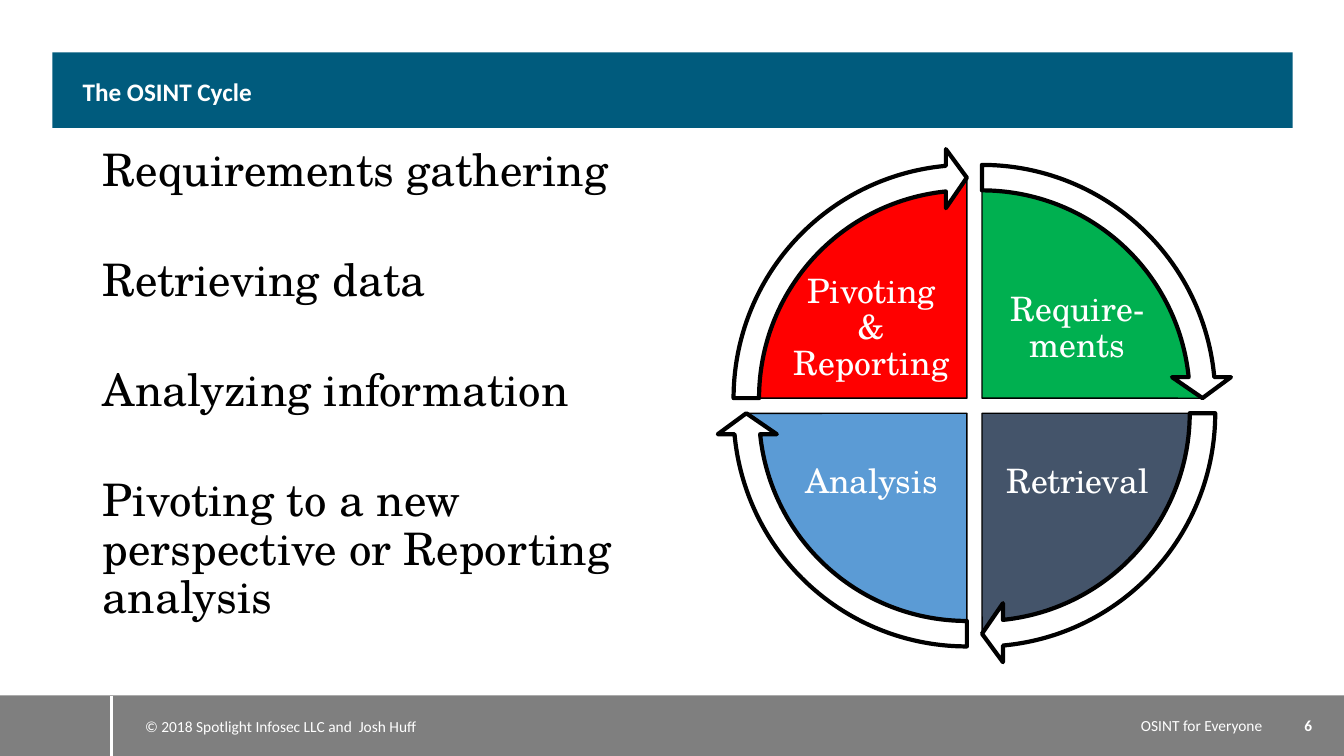
from pptx import Presentation
from pptx.dml.color import RGBColor
from pptx.enum.shapes import MSO_CONNECTOR, MSO_SHAPE
from pptx.enum.text import MSO_ANCHOR, MSO_AUTO_SIZE, PP_ALIGN
from pptx.oxml.ns import qn
from pptx.util import Inches, Pt
from lxml.etree import SubElement

WHITE = RGBColor(0xFF, 0xFF, 0xFF)
BLACK = RGBColor(0x00, 0x00, 0x00)
TEAL = RGBColor(0x00, 0x5B, 0x7D)
GRAY = RGBColor(0x7F, 0x7F, 0x7F)
GREEN = RGBColor(0x00, 0xB0, 0x50)
SLATE = RGBColor(0x44, 0x54, 0x6A)
BLUE = RGBColor(0x5B, 0x9B, 0xD5)
RED = RGBColor(0xFF, 0x00, 0x00)

SANS, SERIF = "Calibri", "TeX Gyre Schola"
SLIDE_W, SLIDE_H = 13.33, 7.5

# Angles count in the preset shapes' units: 216 to the full circle
FULL_TURN, QUARTER = 216, 54
ARROW_SWEEP, ARROW_HEAD = 50.725, 3.275

STEPS = ["Requirements gathering", "Retrieving data", "Analyzing information",
         "Pivoting to a new perspective or Reporting analysis"]

# Label, colour, column side, row side; clockwise from the top right
STAGES = [("Require-ments", GREEN, 1, -1), ("Retrieval", SLATE, 1, 1),
          ("Analysis", BLUE, -1, 1), ("Pivoting & Reporting", RED, -1, -1)]


def place(shape, left, top, width, height):
    shape.left, shape.top = Inches(left), Inches(top)
    shape.width, shape.height = Inches(width), Inches(height)


def style(paragraph, font, size, color, bold=False, align=PP_ALIGN.LEFT):
    paragraph.alignment = align
    paragraph.font.name = font
    paragraph.font.size = Pt(size)
    paragraph.font.color.rgb = color
    paragraph.font.bold = bold


def add_filled(slide, preset, box, fill, line_width=0, adjustments=()):
    shape = slide.shapes.add_shape(preset, *map(Inches, box))
    shape.shadow.inherit = False
    shape.fill.solid()
    shape.fill.fore_color.rgb = fill
    if line_width:
        shape.line.color.rgb = BLACK
        shape.line.width = Pt(line_width)
    else:
        shape.line.fill.background()
    for index, value in enumerate(adjustments):
        shape.adjustments[index] = value
    return shape


def add_label(slide, box, text, font, size, bold=False,
              align=PP_ALIGN.LEFT, wrap=True):
    label = slide.shapes.add_textbox(*map(Inches, box))
    frame = label.text_frame
    frame.word_wrap = wrap
    frame.vertical_anchor = MSO_ANCHOR.MIDDLE
    frame.text = text
    style(frame.paragraphs[0], font, size, WHITE, bold, align)
    return frame


def centered_box(x, y, width, height):
    return x - width / 2, y - height / 2, width, height


def build_title(slide, left, top, width, height):
    title = slide.shapes.title
    bar = add_filled(slide, MSO_SHAPE.RECTANGLE, (left, top, width, height), TEAL)
    title.element.addprevious(bar.element)
    place(title, left + 0.2, top, width - 0.4, height)
    frame = title.text_frame
    frame.auto_size = MSO_AUTO_SIZE.NONE
    frame.vertical_anchor = MSO_ANCHOR.MIDDLE
    frame.margin_top, frame.margin_bottom = Inches(0.07), 0
    frame.text = "The OSINT Cycle"
    style(frame.paragraphs[0], SANS, 18, WHITE, bold=True)
    frame.paragraphs[0].line_spacing = 0.9


def build_steps(slide, left, top, width, height):
    body = slide.placeholders[1]
    place(body, left, top, width, height)
    frame = body.text_frame
    frame.auto_size = MSO_AUTO_SIZE.NONE
    frame.text = "\n".join(STEPS)
    for number, step in enumerate(frame.paragraphs):
        step.line_spacing = 0.9
        step.space_before = Pt(44 if number else 0)
        properties = step._p.get_or_add_pPr()
        properties.set("marL", str(Inches(0.2)))
        properties.set("indent", "0")
        SubElement(properties, qn("a:buNone"))
        style(step, SERIF, 32, BLACK)


def build_cycle(slide, left, top, size):
    center_x, center_y = left + size / 2, top + size / 2
    gap = 0.15
    arrow_size = size - gap
    pie_size = arrow_size * 0.89

    def quarter_center(side_x, side_y):
        return center_x + side_x * gap / 2, center_y + side_y * gap / 2

    def start_angle(number):
        return (number - 1) * QUARTER % FULL_TURN

    # Quarters with their labels
    for number, (name, color, side_x, side_y) in enumerate(STAGES):
        start = start_angle(number)
        box = centered_box(*quarter_center(side_x, side_y), pie_size, pie_size)
        add_filled(slide, MSO_SHAPE.PIE, box, color, 1,
                   (start, (start + QUARTER) % FULL_TURN))
        label_box = centered_box(center_x + side_x * size * 0.2,
                                 center_y + side_y * size * 0.15, 1.63, 1.21)
        frame = add_label(slide, label_box, name, SERIF, 24,
                          align=PP_ALIGN.CENTER)
        frame.margin_left = frame.margin_right = Inches(0.03)
        frame.margin_top = frame.margin_bottom = Inches(0.03)
        frame.paragraphs[0].line_spacing = 0.9

    # Arrows around the quarters
    for number, (_, _, side_x, side_y) in enumerate(STAGES):
        start = start_angle(number)
        box = centered_box(*quarter_center(side_x, side_y),
                           arrow_size, arrow_size)
        add_filled(slide, MSO_SHAPE.CIRCULAR_ARROW, box, WHITE, 3,
                   (0.051, ARROW_HEAD, start + ARROW_SWEEP, start, 0.059))


def build_footer(slide, top, height):
    add_filled(slide, MSO_SHAPE.RECTANGLE, (0, top, SLIDE_W, height), GRAY)
    divider = slide.shapes.add_connector(
        MSO_CONNECTOR.STRAIGHT, Inches(1.11), Inches(top),
        Inches(1.11), Inches(top + height))
    divider.line.color.rgb = WHITE
    divider.line.width = Pt(2)
    SubElement(divider.element.spPr, qn("a:effectLst"))

    add_label(slide, (1.34, top + 0.16, 2.96, 0.29),
              "© 2018 Spotlight Infosec LLC and  Josh Huff", SANS, 11, wrap=False)
    number_left = 12.62
    add_label(slide, (1.34, top, number_left - 1.34, height),
              "OSINT for Everyone", SANS, 11, align=PP_ALIGN.RIGHT)
    add_label(slide, (number_left, top, SLIDE_W - number_left, height),
              "6", SANS, 11, bold=True, align=PP_ALIGN.CENTER)


def main():
    deck = Presentation()
    deck.slide_width, deck.slide_height = Inches(SLIDE_W), Inches(SLIDE_H)
    slide = deck.slides.add_slide(deck.slide_layouts[1])
    build_title(slide, 0.52, 0.52, 12.3, 0.75)
    build_steps(slide, 0.72, 1.42, 6.28, 5.26)
    build_cycle(slide, 7.11, 1.47, 5.11)
    build_footer(slide, 6.9, 0.6)
    deck.save("out.pptx")


if __name__ == "__main__":
    main()
